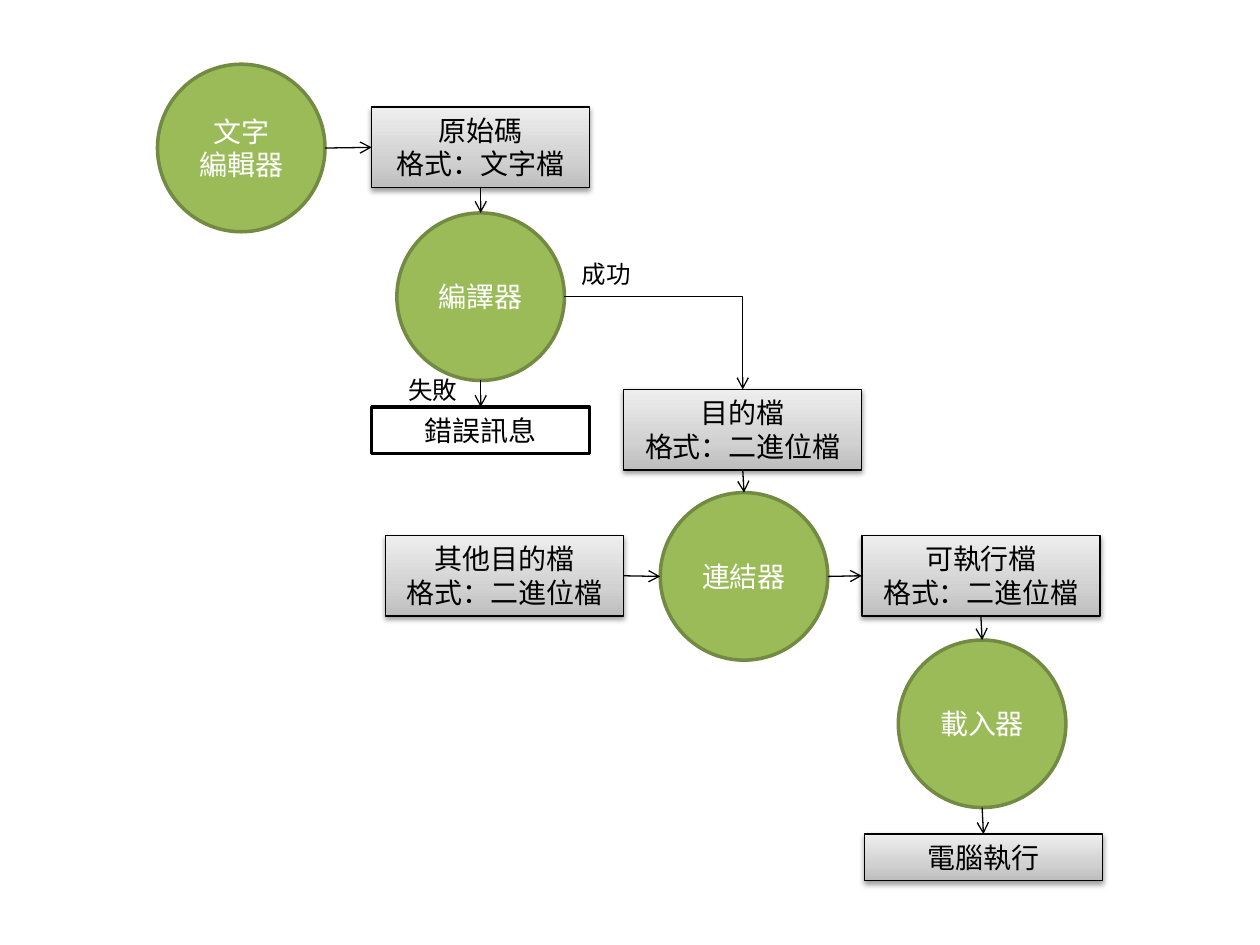
from copy import deepcopy

from lxml.etree import SubElement
from pptx import Presentation
from pptx.dml.color import RGBColor
from pptx.enum.shapes import MSO_CONNECTOR as CONNECTOR, MSO_SHAPE as SHAPE
from pptx.enum.text import MSO_ANCHOR as ANCHOR, MSO_AUTO_SIZE as AUTO_SIZE, PP_ALIGN as ALIGN
from pptx.oxml.ns import qn
from pptx.util import Inches, Pt

BLACK = RGBColor(0x00, 0x00, 0x00)
WHITE = RGBColor(0xFF, 0xFF, 0xFF)
GREEN = RGBColor(0x9B, 0xBB, 0x59)
DARK_GREEN = RGBColor(0x73, 0x8A, 0x42)
GREYS = [(0, RGBColor(0xBD, 0xBD, 0xBD)),
         (0.35, RGBColor(0xD1, 0xD1, 0xD1)),
         (1, RGBColor(0xEE, 0xEE, 0xEE))]

FONT = "Calibri"
DIAMETER = 1.33
ONE_LINE, TWO_LINES = 0.37, 0.64
NARROW, WIDE = 1.73, 1.89
TOP, LEFT, BOTTOM, RIGHT = range(4)


def write(shape, lines, size, color, align):
    frame = shape.text_frame
    frame.word_wrap = True
    frame.text = "\n".join(lines)
    for paragraph in frame.paragraphs:
        paragraph.alignment = align
        paragraph.font.size = Pt(size)
        paragraph.font.name = FONT
        paragraph.font.color.rgb = color
    return frame


def outline(shape, color, width):
    shape.line.color.rgb = color
    shape.line.width = Pt(width)


def add_tool(slide, left, top, *lines):
    """Green circle for a program."""
    tool = slide.shapes.add_shape(SHAPE.OVAL, Inches(left), Inches(top),
                                  Inches(DIAMETER), Inches(DIAMETER))
    tool.shadow.inherit = False
    tool.fill.solid()
    tool.fill.fore_color.rgb = GREEN
    outline(tool, DARK_GREEN, 2)
    write(tool, lines, 16, WHITE, ALIGN.CENTER).vertical_anchor = ANCHOR.MIDDLE
    return tool


def add_box(slide, left, top, width, *lines):
    height = ONE_LINE if len(lines) == 1 else TWO_LINES
    box = slide.shapes.add_shape(SHAPE.RECTANGLE, Inches(left), Inches(top),
                                 Inches(width), Inches(height))
    box.shadow.inherit = False
    frame = write(box, lines, 16, BLACK, ALIGN.CENTER)
    frame.vertical_anchor = ANCHOR.TOP
    frame.auto_size = AUTO_SIZE.SHAPE_TO_FIT_TEXT
    return box


def add_file(slide, left, top, width, *lines):
    """Grey gradient box with a soft shadow for a result."""
    box = add_box(slide, left, top, width, *lines)
    box.fill.gradient()
    box.fill.gradient_angle = 90
    stop_list = box._element.spPr.find(qn("a:gradFill")).find(qn("a:gsLst"))
    stop_list.append(deepcopy(stop_list[-1]))
    for stop, (position, grey) in zip(box.fill.gradient_stops, GREYS):
        stop.position = position
        stop.color.rgb = grey
    outline(box, BLACK, 0.75)
    effects = box._element.spPr.find(qn("a:effectLst"))
    shadow = SubElement(effects, qn("a:outerShdw"), blurRad=str(Pt(3.1)),
                        dist=str(Pt(1.6)), dir="5400000", rotWithShape="0")
    shade = SubElement(shadow, qn("a:srgbClr"), val=str(BLACK))
    SubElement(shade, qn("a:alpha"), val="38000")
    return box


def add_message(slide, left, top, width, text):
    """White box with a heavy outline."""
    box = add_box(slide, left, top, width, text)
    box.fill.solid()
    box.fill.fore_color.rgb = WHITE
    outline(box, BLACK, 2)
    return box


def add_label(slide, left, top, text):
    label = slide.shapes.add_textbox(Inches(left), Inches(top), Inches(0.87), Inches(0.34))
    write(label, [text], 14, BLACK, ALIGN.LEFT).auto_size = AUTO_SIZE.SHAPE_TO_FIT_TEXT


def side_point(shape, side):
    across = {LEFT: 0, RIGHT: shape.width}.get(side, shape.width // 2)
    down = {TOP: 0, BOTTOM: shape.height}.get(side, shape.height // 2)
    return shape.left + across, shape.top + down


def add_arrow(slide, source, source_side, target, target_side, bent=False):
    kind = CONNECTOR.ELBOW if bent else CONNECTOR.STRAIGHT
    arrow = slide.shapes.add_connector(kind, *side_point(source, source_side),
                                       *side_point(target, target_side))
    outline(arrow, BLACK, 0.75)
    properties = arrow._element.spPr
    SubElement(properties.find(qn("a:ln")), qn("a:tailEnd"), type="arrow")
    SubElement(properties, qn("a:effectLst"))
    if bent:  # a single corner
        properties.find(qn("a:prstGeom")).set("prst", "bentConnector2")
        return
    # Circles number their sites differently, so only boxes are joined
    if source.auto_shape_type == SHAPE.RECTANGLE:
        arrow.begin_connect(source, source_side)
    if target.auto_shape_type == SHAPE.RECTANGLE:
        arrow.end_connect(target, target_side)


def main():
    deck = Presentation()
    deck.slide_width, deck.slide_height = Inches(10), Inches(7.5)
    slide = deck.slides.add_slide(deck.slide_layouts[6])

    # Editing and compiling
    editor = add_tool(slide, 1.25, 0.51, "文字", "編輯器")
    source_code = add_file(slide, 2.95, 0.85, NARROW, "原始碼", "格式：文字檔")
    compiler = add_tool(slide, 3.15, 1.69, "編譯器")
    error = add_message(slide, 2.95, 3.23, NARROW, "錯誤訊息")

    # Linking
    binary = "格式：二進位檔"
    object_file = add_file(slide, 4.95, 3.09, WIDE, "目的檔", binary)
    linker = add_tool(slide, 5.24, 3.91, "連結器")
    other_objects = add_file(slide, 3.06, 4.25, WIDE, "其他目的檔", binary)
    executable = add_file(slide, 6.84, 4.25, WIDE, "可執行檔", binary)

    # Loading and running
    loader = add_tool(slide, 7.13, 5.08, "載入器")
    running = add_file(slide, 6.86, 6.62, WIDE, "電腦執行")

    # Flow
    for source, target in [(editor, source_code), (other_objects, linker),
                           (linker, executable)]:
        add_arrow(slide, source, RIGHT, target, LEFT)
    for source, target in [(source_code, compiler), (compiler, error),
                           (object_file, linker), (executable, loader),
                           (loader, running)]:
        add_arrow(slide, source, BOTTOM, target, TOP)
    add_arrow(slide, compiler, RIGHT, object_file, TOP, bent=True)

    # Outcomes of compiling
    add_label(slide, 3.14, 2.93, "失敗")
    add_label(slide, 4.52, 2.01, "成功")

    deck.save("out.pptx")


if __name__ == "__main__":
    main()
